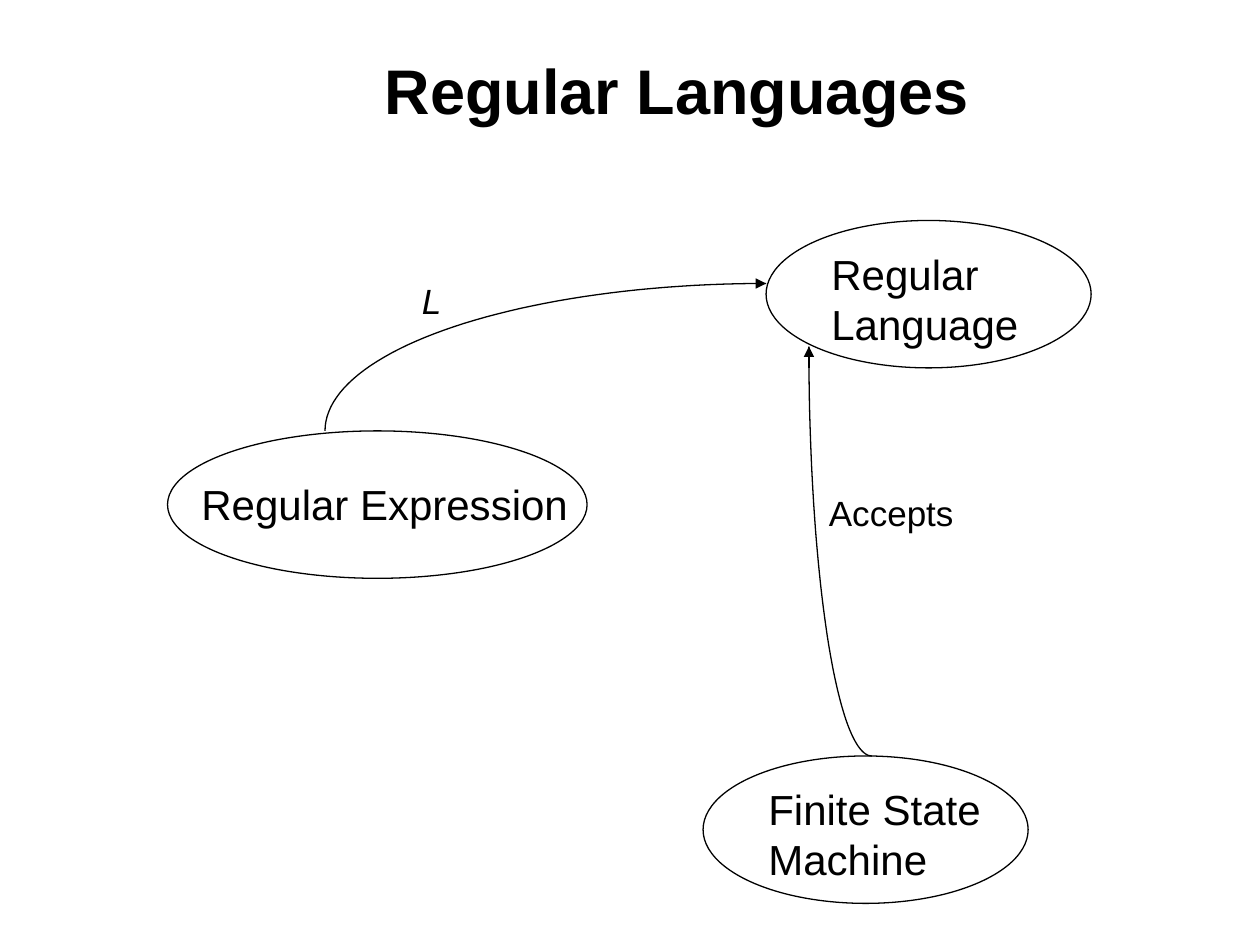
from math import cos, radians, sin

from lxml.etree import SubElement
from pptx import Presentation
from pptx.dml.color import RGBColor
from pptx.enum.shapes import MSO_CONNECTOR, MSO_SHAPE
from pptx.enum.text import MSO_ANCHOR, MSO_AUTO_SIZE, PP_ALIGN
from pptx.oxml.ns import qn
from pptx.util import Inches, Pt

BLACK = "000000"
ARC_STEPS = 48


def color(hex_value):
    return RGBColor.from_string(hex_value)


def add_text(slide, text, box, size=24, bold=False, italic=False, before=0,
             align=PP_ALIGN.LEFT, anchor=MSO_ANCHOR.TOP, wrap=True, grow=True):
    label = slide.shapes.add_textbox(*map(Inches, box))
    frame = label.text_frame
    frame.word_wrap = wrap
    frame.auto_size = MSO_AUTO_SIZE.SHAPE_TO_FIT_TEXT if grow else MSO_AUTO_SIZE.NONE
    frame.vertical_anchor = anchor
    paragraph = frame.paragraphs[0]
    paragraph.alignment = align
    paragraph.space_before = Pt(before)
    run = paragraph.add_run()
    run.text = text
    run.font.name = "Arial"
    run.font.size = Pt(size)
    run.font.bold = bold
    run.font.italic = italic
    run.font.color.rgb = color(BLACK)


def style_outline(outline):
    outline.line.color.rgb = color(BLACK)
    outline.line.width = Pt(0.75)


def add_title(slide, box):
    add_text(slide, "Regular Languages", box, size=36, bold=True,
             align=PP_ALIGN.CENTER, anchor=MSO_ANCHOR.MIDDLE, grow=False)


def add_concept(slide, text, ellipse_box, text_box):
    add_text(slide, text, text_box, before=15)
    ellipse = slide.shapes.add_shape(MSO_SHAPE.OVAL, *map(Inches, ellipse_box))
    ellipse.shadow.inherit = False
    ellipse.fill.background()
    style_outline(ellipse)


def add_quarter_arc(slide, center, radii, start_angle):
    points = []
    for step in range(ARC_STEPS + 1):
        angle = radians(start_angle + 90 * step / ARC_STEPS)
        points.append((Inches(center[0] + radii[0] * cos(angle)),
                       Inches(center[1] + radii[1] * sin(angle))))
    builder = slide.shapes.build_freeform(*points[0])
    builder.add_line_segments(points[1:], close=False)
    arc = builder.convert_to_shape()
    arc.shadow.inherit = False
    arc.fill.background()
    style_outline(arc)


def add_arrow(slide, start, end):
    arrow = slide.shapes.add_connector(
        MSO_CONNECTOR.STRAIGHT, *map(Inches, (*start, *end)))
    style_outline(arrow)
    SubElement(arrow.line._get_or_add_ln(), qn("a:tailEnd"), type="triangle")
    SubElement(arrow._element.spPr, qn("a:effectLst"))


def add_language_mapping(slide, box):
    left, top, width, height = box
    right = left + width
    add_quarter_arc(slide, (right, top + height), (width, height), 180)
    add_arrow(slide, (right - 0.16, top), (right, top))
    add_text(slide, "L", (left + 0.67, top - 0.08, 0.58, 0.44),
             size=20, italic=True, before=12.5)


def add_acceptance(slide, box):
    left, top, width, height = box
    add_quarter_arc(slide, (left + width, top), (width, height), 90)
    add_arrow(slide, (left, top + 0.17), (left, top))
    add_text(slide, "Accepts", (left + 0.06, top + 1.1, 1.19, 0.44),
             size=20, wrap=False)


def main():
    presentation = Presentation()
    presentation.slide_width = Inches(10)
    presentation.slide_height = Inches(7.5)
    slide = presentation.slides.add_slide(presentation.slide_layouts[6])

    add_title(slide, (0.75, 0.25, 9.25, 0.92))
    concepts = [
        ("Regular Language", (6.08, 1.75, 2.58, 1.17), (6.5, 1.92, 2.75, 0.9)),
        ("Finite State Machine", (5.58, 6, 2.58, 1.17), (6, 6.17, 2.5, 0.9)),
        ("Regular Expression", (1.33, 3.42, 3.33, 1.17), (1.5, 3.75, 3.17, 0.5)),
    ]
    for concept in concepts:
        add_concept(slide, *concept)
    add_language_mapping(slide, (2.58, 2.25, 3.5, 1.17))
    add_acceptance(slide, (6.42, 2.75, 0.5, 3.25))

    presentation.save("out.pptx")


if __name__ == "__main__":
    main()
